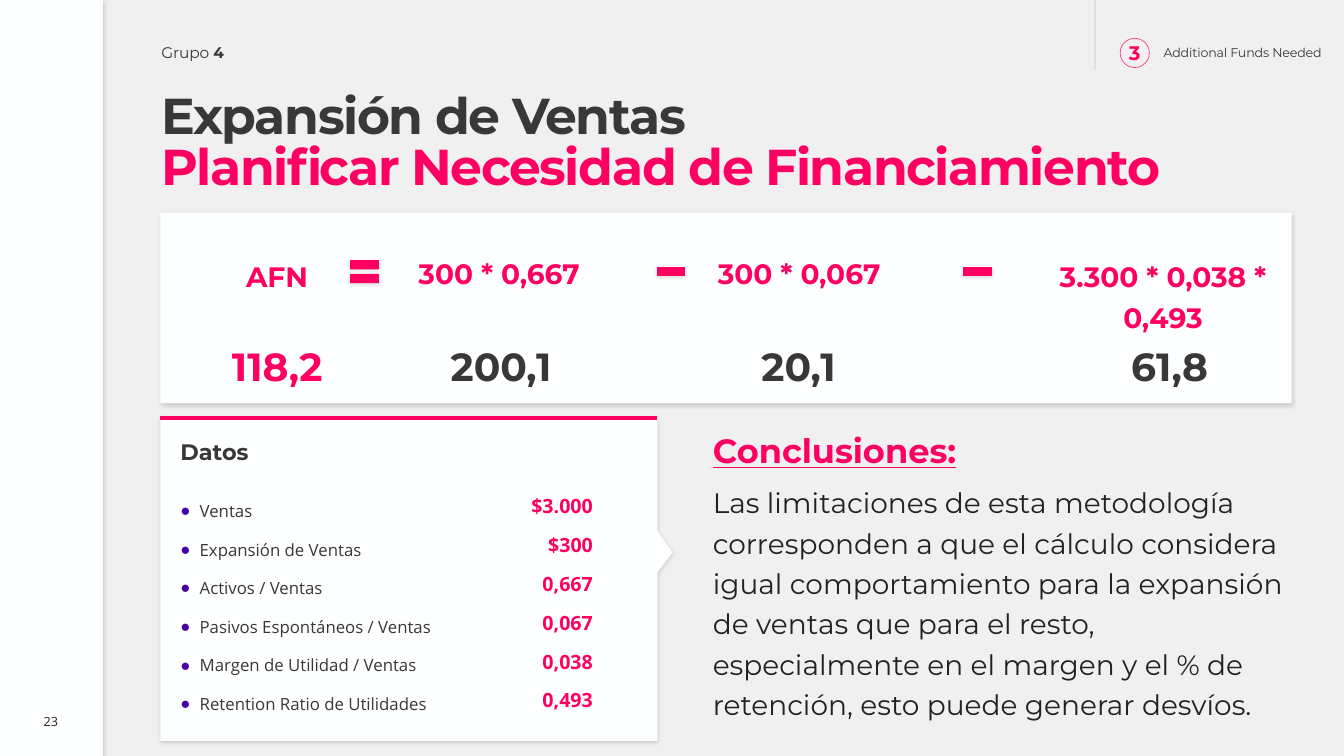
from pptx import Presentation
from pptx import util as u
from pptx.dml.color import RGBColor
from pptx.enum import shapes, text
from pptx.oxml.ns import qn
from lxml import etree

COLORS = {
    "back": "F0F0F0",
    "white": "FEFFFF",
    "pink": "FE0061",
    "dark": "383838",
    "ink": "222222",
    "rule": "B4B4B4",
    "bullet": "4400A3",
    "shade": "000000",
}
HEAD, BODY = "Montserrat", "Open Sans"
LEFT, CENTER, RIGHT = text.PP_ALIGN.LEFT, text.PP_ALIGN.CENTER, text.PP_ALIGN.RIGHT
TOP, MIDDLE = text.MSO_ANCHOR.TOP, text.MSO_ANCHOR.MIDDLE
SHAPE = shapes.MSO_SHAPE


def rgb(name):
    return RGBColor.from_string(COLORS[name])


def add_xml(parent, tag, **attributes):
    return etree.SubElement(parent, qn(tag), {key: str(value) for key, value in attributes.items()})


class SlideBuilder:
    def __init__(self, page):
        self.page = page
        page.background.fill.solid()
        page.background.fill.fore_color.rgb = rgb("back")

    def frame(self, box, insets=(0, 0, 0, 0), anchor=TOP):
        frame = box.text_frame
        frame.word_wrap = True
        frame.vertical_anchor = anchor
        frame.margin_left, frame.margin_top, frame.margin_right, frame.margin_bottom = map(u.Inches, insets)
        return frame

    def style(self, span, size, color, font=HEAD, bold=False, underline=False, tracking=0):
        span.font.size = u.Pt(size)
        span.font.name = font
        span.font.bold = bold
        span.font.underline = underline
        span.font.color.rgb = rgb(color)
        if tracking:
            span.font._element.set("spc", str(tracking))

    def fill_para(self, para, words, size, color, align=LEFT, spacing=None, after=0, bullet=False, **look):
        para.text = words
        if bullet:
            props = para._p.get_or_add_pPr()
            props.set("marL", str(u.Inches(0.19)))
            props.set("indent", str(-u.Inches(0.19)))
            add_xml(add_xml(props, "a:buClr"), "a:srgbClr", val=COLORS["bullet"])
            add_xml(props, "a:buFont", typeface="Arial")
            add_xml(props, "a:buChar", char="●")
        para.alignment = align
        para.space_after = u.Pt(after)
        if spacing:
            para.line_spacing = spacing
        self.style(para.runs[0], size, color, **look)

    def label(self, place, words, size, color, insets=(0, 0, 0, 0), anchor=TOP, **look):
        box = self.page.shapes.add_textbox(*map(u.Inches, place))
        frame = self.frame(box, insets, anchor)
        self.fill_para(frame.paragraphs[0], words, size, color, **look)
        return frame

    def shadow(self, shape):
        effects = add_xml(shape._element.spPr, "a:effectLst")
        outer = add_xml(effects, "a:outerShdw", blurRad=u.Pt(3), dist=u.Pt(1), dir=5400000, rotWithShape=0)
        add_xml(add_xml(outer, "a:srgbClr", val=COLORS["shade"]), "a:alpha", val=15000)

    def paint(self, shape, fill, shaded):
        shape.fill.solid()
        shape.fill.fore_color.rgb = rgb(fill)
        shape.line.fill.background()
        if shaded:
            self.shadow(shape)
        else:
            shape.shadow.inherit = False
        return shape

    def shape(self, kind, place, fill="white", shaded=True):
        return self.paint(self.page.shapes.add_shape(kind, *map(u.Inches, place)), fill, shaded)

    def outline(self, points):
        start, *rest = [(u.Inches(x), u.Inches(y)) for x, y in points]
        builder = self.page.shapes.build_freeform(*start)
        builder.add_line_segments(rest, close=True)
        return self.paint(builder.convert_to_shape(), "white", True)

    def stroke(self, shape, color, width, opacity=100):
        shape.line.color.rgb = rgb(color)
        shape.line.width = u.Pt(width)
        if opacity < 100:
            for tone in shape.line._ln.iter(qn("a:srgbClr")):
                add_xml(tone, "a:alpha", val=opacity * 1000)

    def line(self, start, end, color, width, opacity=100):
        ends = map(u.Inches, (*start, *end))
        line = self.page.shapes.add_connector(shapes.MSO_CONNECTOR.STRAIGHT, *ends)
        self.stroke(line, color, width, opacity)
        add_xml(line._element.spPr, "a:effectLst")

    def ring(self, place, color, width, opacity):
        ring = self.page.shapes.add_shape(SHAPE.OVAL, *map(u.Inches, place))
        ring.fill.background()
        ring.shadow.inherit = False
        self.stroke(ring, color, width, opacity)


def add_header(slide):
    small = dict(spacing=0.85, tracking=-10)
    slide.label((11.16, 0.44, 0.19, 0.2), "3", 14, "pink", align=CENTER, bold=True, **small)
    slide.ring((11.11, 0.38, 0.29, 0.29), "pink", 0.5, 75)
    slide.line((10.86, 0.69), (10.86, 0), "rule", 0.5, 75)
    slide.shape(SHAPE.RECTANGLE, (0, 0, 1.02, 7.5))
    group = slide.label((1.6, 0.46, 0.88, 0.16), "Grupo ", 11, "dark", **small)
    number = group.paragraphs[0].add_run()
    number.text = "4"
    slide.style(number, 11, "dark", bold=True, tracking=-10)
    slide.label((11.54, 0.47, 1.57, 0.26), "Additional Funds Needed", 9, "dark", **small)
    slide.label((0.36, 7, 0.29, 0.31), "23", 9, "ink", anchor=MIDDLE, align=CENTER, font=BODY)
    heading = dict(spacing=0.85, bold=True, tracking=-100)
    title = slide.label((1.6, 0.92, 10.7, 1.03), "Expansión de Ventas", 36, "dark", anchor=MIDDLE, **heading)
    slide.fill_para(title.add_paragraph(), "Planificar Necesidad de Financiamiento", 36, "pink", **heading)


def add_data(slide):
    data = [
        ("Ventas", "$3.000"),
        ("Expansión de Ventas", "$300"),
        ("Activos / Ventas", "0,667"),
        ("Pasivos Espontáneos / Ventas", "0,067"),
        ("Margen de Utilidad / Ventas", "0,038"),
        ("Retention Ratio de Utilidades", "0,493"),
    ]
    panel = slide.outline([(1.59, 4.15), (6.52, 4.15), (6.52, 5.27), (6.67, 5.48),
                           (6.52, 5.68), (6.52, 7.35), (1.59, 7.35)])
    frame = slide.frame(panel, (0.2, 0.2, 0.2, 0.05))
    slide.fill_para(frame.paragraphs[0], "Datos", 16, "dark", after=18, bold=True)
    pitch = 1.93 / (len(data) - 1)
    for row, (name, value) in enumerate(data):
        slide.fill_para(frame.add_paragraph(), name, 12, "dark", spacing=1.5, after=6, bullet=True, font=BODY)
        slide.label((4.98, 4.85 + row * pitch, 1, 0.34), value, 14, "pink", (0.1, 0.05, 0.1, 0.05),
                    align=RIGHT, font=BODY, bold=True)
    slide.line((1.59, 4.15), (6.52, 4.15), "pink", 3)


def add_conclusions(slide):
    flow = dict(spacing=1.2, after=6)
    frame = slide.label((7.07, 4.19, 5.87, 2.96), "Conclusiones:", 24, "pink", bold=True, underline=True, **flow)
    slide.fill_para(frame.add_paragraph(),
                    "Las limitaciones de esta metodología corresponden a que el cálculo considera igual "
                    "comportamiento para la expansión de ventas que para el resto, especialmente en el "
                    "margen y el % de retención, esto puede generar desvíos.", 20, "ink", **flow)


def add_formula(slide):
    slide.shape(SHAPE.RECTANGLE, (1.59, 2.11, 11.22, 1.89))
    terms = [
        ((2.44, 2.51, 0.71, 0.37), "AFN", LEFT, 2.04, "118,2", "pink"),
        ((4.15, 2.48, 2.05, 0.37), "300 * 0,667", LEFT, 4.26, "200,1", "dark"),
        ((7.12, 2.48, 2.13, 0.37), "300 * 0,067", LEFT, 7.21, "20,1", "dark"),
        ((10.16, 2.51, 2.75, 0.78), "3.300 * 0,038 * 0,493", CENTER, 10.89, "61,8", "dark"),
    ]
    for place, term, align, left, result, color in terms:
        slide.label(place, term, 20, "pink", align=align, spacing=1.2, after=15, bold=True)
        slide.label((left, 3.2, 1.42, 0.89), result, 28, color, (0.2, 0.2, 0.2, 0.05),
                    align=CENTER, after=6, bold=True)
    for kind, left in ((SHAPE.MATH_EQUAL, 3.42), (SHAPE.MATH_MINUS, 6.46), (SHAPE.MATH_MINUS, 9.5)):
        slide.shape(kind, (left, 2.5, 0.39, 0.39), "pink")


def main():
    deck = Presentation()
    deck.slide_width, deck.slide_height = u.Inches(13.33), u.Inches(7.5)
    slide = SlideBuilder(deck.slides.add_slide(deck.slide_layouts[6]))
    add_header(slide)
    add_data(slide)
    add_conclusions(slide)
    add_formula(slide)
    deck.save("out.pptx")


if __name__ == "__main__":
    main()
